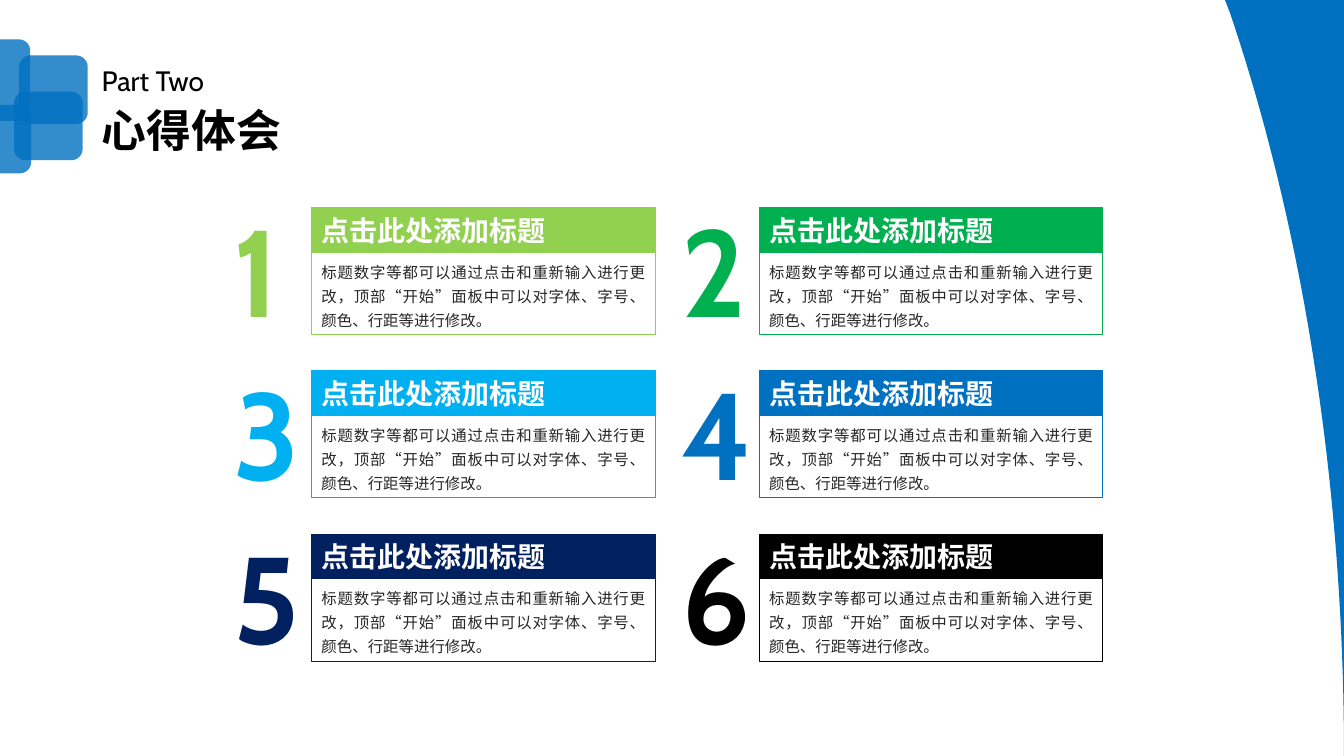
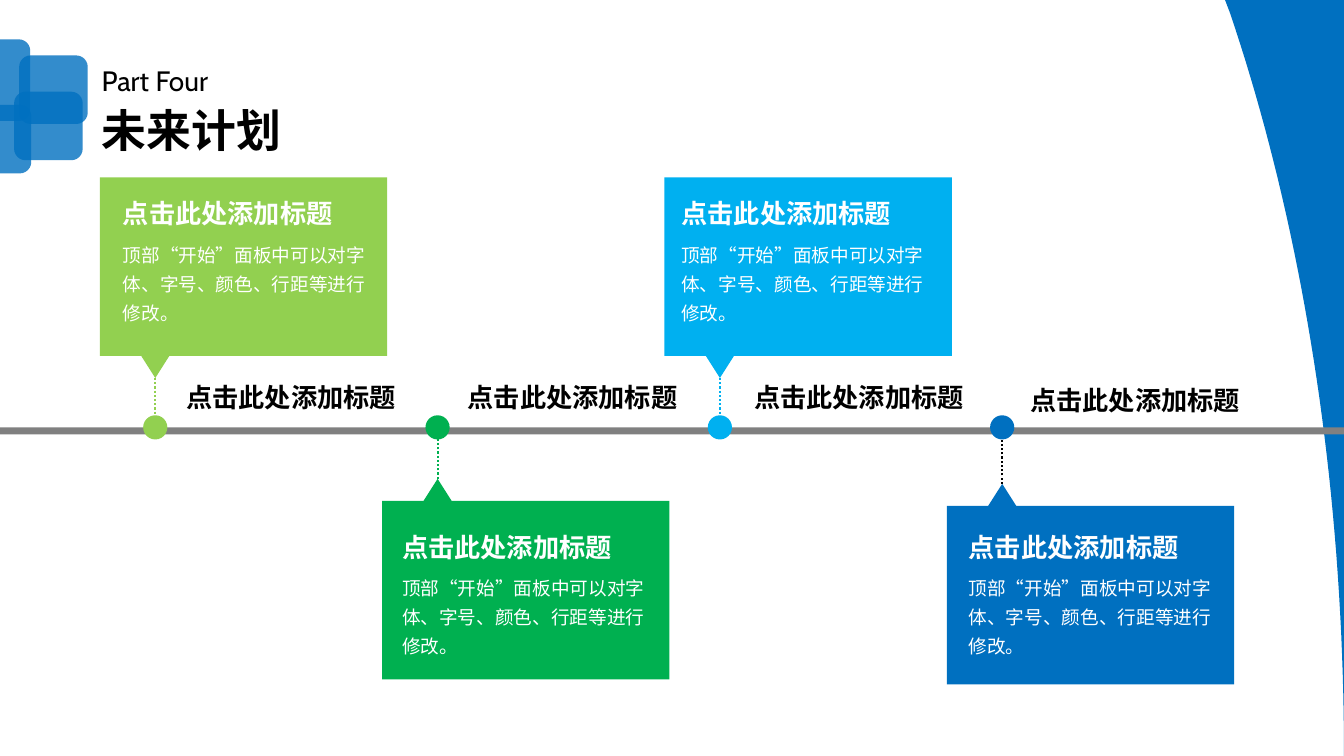
from lxml.etree import SubElement
from pptx import Presentation
from pptx.dml.color import RGBColor
from pptx.enum.dml import MSO_LINE
from pptx.enum.shapes import MSO_CONNECTOR, MSO_SHAPE
from pptx.enum.text import MSO_ANCHOR, MSO_AUTO_SIZE, PP_ALIGN
from pptx.oxml.ns import qn
from pptx.util import Pt

PX = 9144  # 100 px to the inch
WIDTH, HEIGHT = 1333, 750
COLORS = {
    "lime": "92D050", "green": "00B050", "sky": "00B0F0", "blue": "0070C0",
    "navy": "002060", "black": "000000", "white": "FFFFFF", "gray": "808080",
    "text": "262626",
}
RGB = {name: RGBColor.from_string(code) for name, code in COLORS.items()}
FONT, CJK_FONT, ACCENT_FONT = "Cabin", "Noto Sans CJK SC", "Quicksand"
HEADING = "点击此处添加标题"
CARD_TEXT = "标题数字等都可以通过点击和重新输入进行更改，顶部“开始”面板中可以对字体、字号、颜色、行距等进行修改。"
PLAN_TEXT = "顶部“开始”面板中可以对字体、字号、颜色、行距等进行修改。"


def draw(s, box=None, kind=None, outline=None, fill=None, line=None):
    """Add a preset shape, a polygon (outline) or, with neither, a text box."""
    if outline:
        points = [(x * PX, y * PX) for x, y in outline]
        builder = s.shapes.build_freeform(*points[0], scale=1.0)
        builder.add_line_segments(points[1:], close=True)
        sp = builder.convert_to_shape()
    elif kind is None:
        return s.shapes.add_textbox(*[v * PX for v in box])
    else:
        sp = s.shapes.add_shape(kind, *[v * PX for v in box])
    sp.shadow.inherit = False
    if fill:
        sp.fill.solid()
        sp.fill.fore_color.rgb = RGB[fill]
    else:
        sp.fill.background()
    if line:
        sp.line.color.rgb = RGB[line]
        sp.line.width = Pt(0.75)
    else:
        sp.line.fill.background()
    return sp


def write(sp, text, size, color, bold=False, font=FONT, wrap=True, spacing=None,
          before=None, align=PP_ALIGN.LEFT, anchor=MSO_ANCHOR.TOP):
    tf = sp.text_frame
    tf.text = text
    tf.word_wrap = wrap
    tf.auto_size = MSO_AUTO_SIZE.NONE
    tf.vertical_anchor = anchor
    p = tf.paragraphs[0]
    p.alignment = align
    if spacing:
        p.line_spacing = spacing
    if before:
        p.space_before = Pt(before)
    p.font.name, p.font.size, p.font.bold = font, Pt(size), bold
    p.font.color.rgb = RGB[color]
    SubElement(p._p.pPr.find(qn("a:defRPr")), qn("a:ea"), typeface=CJK_FONT)


prs = Presentation()
prs.slide_width, prs.slide_height = WIDTH * PX, HEIGHT * PX
layout = prs.slide_layouts[5]
for ph in list(layout.placeholders):
    if ph.placeholder_format.idx != 0:
        ph.element.getparent().remove(ph.element)

# Titles
slides = []
for part, title in [("Part Two", "心得体会"), ("Part Four", "未来计划")]:
    s = prs.slides.add_slide(layout)
    sp = s.shapes.title
    sp.left, sp.top, sp.width, sp.height = [v * PX for v in (91, 103, 325, 59)]
    write(sp, title, 32, "black", bold=True, spacing=0.9, before=10)
    write(draw(s, (91, 62, 325, 40)), part, 20, "black", spacing=0.9, before=10)
    slides.append(s)
experience, plan = slides

# Decoration, drawn once and moved to the shared layout
decoration = []
for box in [(-38, 39, 68, 81), (19, 55, 68, 68), (14, 91, 68, 68), (-37, 104, 68, 68)]:
    sp = draw(experience, box, MSO_SHAPE.ROUNDED_RECTANGLE, fill="blue")
    tint = sp.element.spPr.find(qn("a:solidFill")).find(qn("a:srgbClr"))
    SubElement(tint, qn("a:alpha"), val="80000")
    decoration.append(sp)
controls = [(WIDTH, HEIGHT), (WIDTH, 477), (1291, 223), (1220, 13)]
STEPS = 40
curve = []
for i in range(STEPS + 1):
    t = i / STEPS
    weights = ((1 - t) ** 3, 3 * t * (1 - t) ** 2, 3 * t ** 2 * (1 - t), t ** 3)
    curve.append(tuple(sum(w * c[axis] for w, c in zip(weights, controls))
                       for axis in (0, 1)))
decoration.append(draw(experience, outline=[(1215, 0), (WIDTH, 0), *curve], fill="blue"))
for sp in decoration:
    layout.shapes.element.append(sp.element)

# Numbered cards, two to a row
for i, color in enumerate(["lime", "green", "sky", "blue", "navy", "black"]):
    row, column = divmod(i, 2)
    left, top = 309 + 444 * column, 206 + 162 * row
    write(draw(experience, (left - 87, top - 18, 91, 158)), str(i + 1), 88, color,
          bold=True, wrap=False)
    header = draw(experience, (left, top, 341, 44), MSO_SHAPE.RECTANGLE,
                  fill=color, line=color)
    write(header, HEADING, 20, "white", bold=True, anchor=MSO_ANCHOR.MIDDLE)
    body = draw(experience, (left, top + 44, 341, 82), MSO_SHAPE.RECTANGLE, line=color)
    write(body, CARD_TEXT, 11, "text", spacing=1.3, align=PP_ALIGN.JUSTIFY,
          anchor=MSO_ANCHOR.MIDDLE)

# Timeline: callouts alternate above and below the axis
draw(plan, (0, 424, WIDTH, 7), MSO_SHAPE.RECTANGLE, fill="gray")
BOX_W, BOX_H, TIP_X, TIP_H, TIP_HALF = 285, 177, 55, 22, 14
DOT, DOT_TOP = 24, 412
# colour, dotted line colour, callout top, text left, label left, label top
milestones = [
    ("lime", "lime", 176, 112, 175, 373),
    ("green", "green", 475, 389, 454, 373),
    ("sky", "sky", 176, 666, 738, 373),
    ("blue", "black", 480, 951, 1012, 376),
]
for i, (color, dots, top, text_left, label_left, label_top) in enumerate(milestones):
    left = 99 + 280 * i
    tip_x = left + TIP_X
    above = top < DOT_TOP
    if above:
        flat, base, tip = top, top + BOX_H, top + BOX_H + TIP_H
        heading_top, axis_end = 191, DOT_TOP
    else:
        flat, base, tip = top + TIP_H + BOX_H, top + TIP_H, top
        heading_top, axis_end = 522, DOT_TOP + DOT
    draw(plan, (tip_x - DOT // 2, DOT_TOP, DOT, DOT), MSO_SHAPE.OVAL, fill=color)
    draw(plan, fill=color, outline=[
        (left, flat), (left + BOX_W, flat), (left + BOX_W, base),
        (tip_x + TIP_HALF, base), (tip_x, tip), (tip_x - TIP_HALF, base), (left, base)])
    write(draw(plan, (text_left, heading_top + 39, 263, 98)), PLAN_TEXT, 13.3, "white",
          font=CJK_FONT, spacing=1.3)
    for box, ink in [((text_left, heading_top, 229, 42), "white"),
                     ((label_left, label_top, 229, 42), "black")]:
        write(draw(plan, box), HEADING, 18.7, ink, bold=True, font=ACCENT_FONT, wrap=False)
    link = plan.shapes.add_connector(
        MSO_CONNECTOR.STRAIGHT, tip_x * PX, tip * PX, tip_x * PX, axis_end * PX)
    link.line.color.rgb = RGB[dots]
    link.line.width = Pt(1.5)
    link.line.dash_style = MSO_LINE.ROUND_DOT
    SubElement(link.element.spPr, qn("a:effectLst"))

prs.save("out.pptx")
